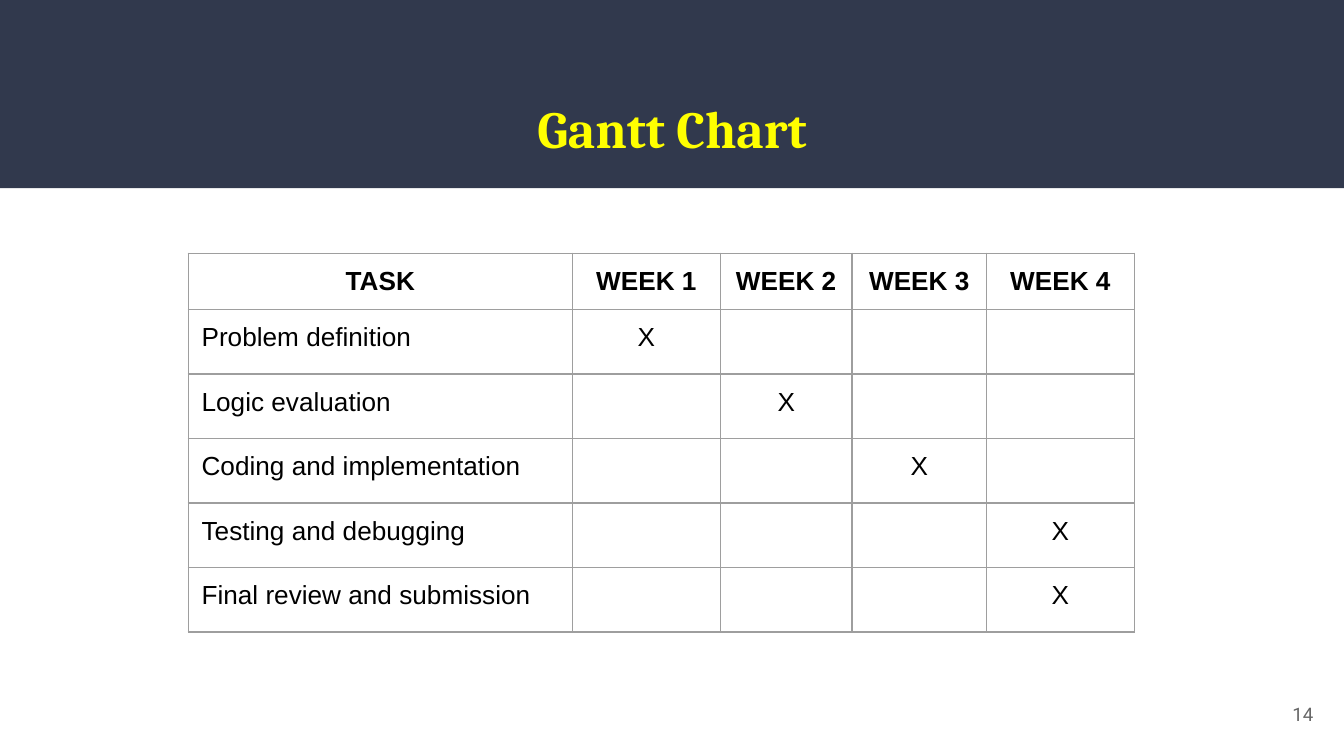
"""Build a project schedule slide with a week-by-week task table."""
from dataclasses import dataclass

from lxml import etree
from pptx import Presentation, util as u
from pptx.dml.color import RGBColor
from pptx.enum import shapes, text
from pptx.oxml import ns


@dataclass(frozen=True)
class Theme:
    """Colours, fonts, type sizes in points and grid unit in inches."""
    band: str = "31394D"
    title: str = "FFFF00"
    ink: str = "000000"
    muted: str = "666666"
    border: str = "9E9E9E"
    title_font: str = "Cambria"
    body_font: str = "Arial"
    number_font: str = "Roboto"
    title_size: int = 28
    body_size: int = 14
    number_size: int = 10
    border_width: float = 0.75
    unit: float = 0.1


def write_text(frame, content, *, font, size, color, bold=False,
               align=text.PP_ALIGN.LEFT, spacing=None):
    """Write one formatted paragraph into a text frame."""
    paragraph = frame.paragraphs[0]
    paragraph.alignment = align
    if spacing:
        paragraph.line_spacing = spacing
    run = paragraph.add_run()
    run.text = content
    run.font.name = font
    run.font.size = u.Pt(size)
    run.font.bold = bold
    run.font.color.rgb = RGBColor.from_string(color)


class SlideBuilder:
    """Place styled elements on a slide using a grid of square units."""

    def __init__(self, slide, theme):
        """Keep the current slide and its style."""
        self.slide = slide
        self.theme = theme

    def grid(self, *counts):
        """Convert grid counts to slide lengths."""
        return [u.Inches(count * self.theme.unit) for count in counts]

    def frame(self, shape, anchor):
        """Set up and return the text frame of a shape."""
        frame = shape.text_frame
        frame.word_wrap = True
        frame.auto_size = text.MSO_AUTO_SIZE.NONE
        frame.vertical_anchor = anchor
        for side in ("left", "right", "top", "bottom"):
            setattr(frame, f"margin_{side}", u.Inches(0.1))
        return frame

    def band(self, *box):
        """Draw a plain band behind everything else."""
        shape = self.slide.shapes.add_shape(shapes.MSO_SHAPE.RECTANGLE, *self.grid(*box))
        shape.shadow.inherit = False
        shape.fill.solid()
        shape.fill.fore_color.rgb = RGBColor.from_string(self.theme.band)
        shape.line.fill.background()
        shape._element.getparent().insert(2, shape._element)

    def title(self, content, *box):
        """Move and fill the title placeholder."""
        shape = self.slide.shapes.title
        shape.left, shape.top, shape.width, shape.height = self.grid(*box)
        write_text(self.frame(shape, text.MSO_ANCHOR.TOP), content,
                   font=self.theme.title_font, size=self.theme.title_size,
                   color=self.theme.title, bold=True,
                   align=text.PP_ALIGN.CENTER, spacing=1.15)

    def number(self, content, *box):
        """Add the page number."""
        shape = self.slide.shapes.add_textbox(*self.grid(*box))
        write_text(self.frame(shape, text.MSO_ANCHOR.MIDDLE), content,
                   font=self.theme.number_font, size=self.theme.number_size,
                   color=self.theme.muted, align=text.PP_ALIGN.RIGHT)

    def schedule(self, left, top, columns, rows, records):
        """Add a bordered table with a bold header row."""
        box = self.grid(left, top, sum(columns), sum(rows))
        table = self.slide.shapes.add_table(len(rows), len(columns), *box).table
        table.horz_banding = table.first_row = False
        for column, width in zip(table.columns, self.grid(*columns)):
            column.width = width
        for row, height in zip(table.rows, self.grid(*rows)):
            row.height = height
        for row_index, record in enumerate(records):
            for column_index, content in enumerate(record):
                self.cell(table.cell(row_index, column_index), content,
                          header=row_index == 0, label=column_index == 0)

    def cell(self, cell, content, header, label):
        """Style one table cell and write its content."""
        self.borders(cell)
        cell.fill.background()
        cell.margin_left = cell.margin_right = u.Inches(0.1)
        cell.margin_top = cell.margin_bottom = u.Inches(0.1 if content else 0)
        if content:
            align = text.PP_ALIGN.LEFT if label and not header else text.PP_ALIGN.CENTER
            write_text(cell.text_frame, content, font=self.theme.body_font,
                       size=self.theme.body_size, color=self.theme.ink,
                       bold=header, align=align)

    def borders(self, cell):
        """Draw a thin line on all four sides of a cell."""
        properties = cell._tc.get_or_add_tcPr()
        for side in ("lnL", "lnR", "lnT", "lnB"):
            line = etree.SubElement(properties, ns.qn(f"a:{side}"),
                                    w=str(u.Pt(self.theme.border_width)))
            fill = etree.SubElement(line, ns.qn("a:solidFill"))
            etree.SubElement(fill, ns.qn("a:srgbClr"), val=self.theme.border)


def main():
    """Build and save the presentation."""
    presentation = Presentation()
    presentation.slide_width = u.Inches(10)
    presentation.slide_height = presentation.slide_width * 9 // 16
    layout = presentation.slide_layouts.get_by_name("Title Only")
    builder = SlideBuilder(presentation.slides.add_slide(layout), Theme())

    task_weeks = {
        "Problem definition": 1,
        "Logic evaluation": 2,
        "Coding and implementation": 3,
        "Testing and debugging": 4,
        "Final review and submission": 4,
    }
    weeks = range(1, 5)
    records = [["TASK"] + [f"WEEK {week}" for week in weeks]]
    records += [[task] + ["X" if week == due else "" for week in weeks]
                for task, due in task_weeks.items()]

    builder.band(0, 0, 100, 14)
    builder.title("Gantt Chart", 3.4, 5.5, 93.2, 6.8)
    builder.schedule(14, 18.84, [28.6, 11, 9.8, 10, 11],
                     [4.2] + [4.8] * len(task_weeks), records)
    builder.number("14", 92.7, 51, 6, 4.3)
    presentation.save("out.pptx")


if __name__ == "__main__":
    main()
